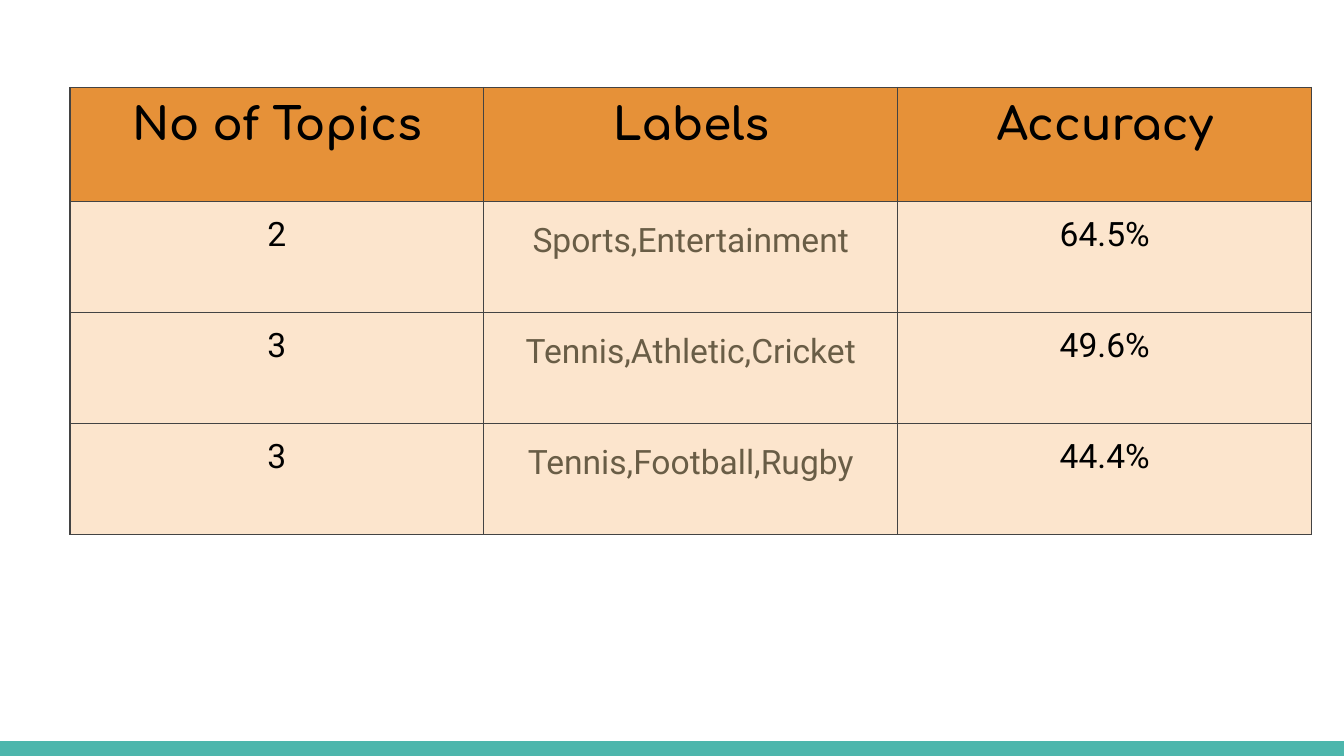
"""Build a slide with a table of topic counts, labels and accuracy."""
from lxml.etree import SubElement
from pptx import Presentation
from pptx.dml.color import RGBColor
from pptx.enum.shapes import MSO_SHAPE
from pptx.enum.text import PP_ALIGN
from pptx.oxml.ns import qn
from pptx.util import Inches, Pt

COLORS = {
    "header": "E69138",
    "body": "FCE5CD",
    "border": "434343",
    "text": "000000",
    "label": "695D46",
    "footer": "4DB6AC",
}
HEADERS = ["No of Topics", "Labels", "Accuracy"]
RESULTS = [
    ("2", "Sports,Entertainment", "64.5%"),
    ("3", "Tennis,Athletic,Cricket", "49.6%"),
    ("3", "Tennis,Football,Rugby", "44.4%"),
]
HEADER_FORMAT = {"font": "Comfortaa", "size": 24, "bold": True}
LABEL_FORMAT = {"color": "label", "line_spacing": 1.15, "space_after": 16}
LABEL_COLUMN = HEADERS.index("Labels")

WIDTH = 10
HEIGHT = WIDTH * 9 / 16
FOOTER_HEIGHT = 0.11
TABLE_LEFT, TABLE_TOP = 0.52, 0.65
COLUMN_WIDTH = 3.08
HEADER_HEIGHT, BODY_HEIGHT = 0.85, 2.48
ROW_HEIGHT = BODY_HEIGHT / len(RESULTS)
MARGIN = 0.1
BORDER_WIDTH = 0.75


def color_of(name):
    return RGBColor.from_string(COLORS[name])


def write(frame, text, font="Roboto", size=18, bold=False, color="text",
          line_spacing=None, space_after=None):
    paragraph = frame.paragraphs[0]
    paragraph.alignment = PP_ALIGN.CENTER
    if line_spacing:
        paragraph.line_spacing = line_spacing
    if space_after:
        paragraph.space_after = Pt(space_after)
    run = paragraph.add_run()
    run.text = text
    run.font.name = font
    run.font.size = Pt(size)
    run.font.bold = bold
    run.font.color.rgb = color_of(color)


def style_cell(cell, fill):
    cell.margin_left = cell.margin_right = Inches(MARGIN)
    cell.margin_top = cell.margin_bottom = Inches(MARGIN)
    properties = cell._tc.get_or_add_tcPr()
    for side in ("lnL", "lnR", "lnT", "lnB"):
        line = SubElement(properties, qn(f"a:{side}"), w=str(Pt(BORDER_WIDTH)))
        solid = SubElement(line, qn("a:solidFill"))
        SubElement(solid, qn("a:srgbClr"), val=COLORS["border"])
    cell.fill.solid()
    cell.fill.fore_color.rgb = color_of(fill)


def add_footer(slide):
    bar = slide.shapes.add_shape(
        MSO_SHAPE.RECTANGLE, 0, Inches(HEIGHT - FOOTER_HEIGHT),
        Inches(WIDTH), Inches(FOOTER_HEIGHT))
    bar.shadow.inherit = False
    bar.fill.solid()
    bar.fill.fore_color.rgb = color_of("footer")
    bar.line.fill.background()


def add_results(slide):
    rows = [HEADERS, *RESULTS]
    heights = [HEADER_HEIGHT] + [ROW_HEIGHT] * len(RESULTS)
    table = slide.shapes.add_table(
        len(rows), len(HEADERS), Inches(TABLE_LEFT), Inches(TABLE_TOP),
        Inches(COLUMN_WIDTH * len(HEADERS)), Inches(sum(heights))).table
    for column in table.columns:
        column.width = Inches(COLUMN_WIDTH)
    for row_index, (texts, height) in enumerate(zip(rows, heights)):
        table.rows[row_index].height = Inches(height)
        for column_index, text in enumerate(texts):
            cell = table.cell(row_index, column_index)
            if row_index == 0:
                text_format = HEADER_FORMAT
            else:
                text_format = LABEL_FORMAT if column_index == LABEL_COLUMN else {}
            style_cell(cell, "body" if row_index else "header")
            write(cell.text_frame, text, **text_format)


def main():
    presentation = Presentation()
    presentation.slide_width = Inches(WIDTH)
    presentation.slide_height = Inches(HEIGHT)
    slide = presentation.slides.add_slide(presentation.slide_layouts[6])
    add_footer(slide)
    add_results(slide)
    presentation.save("out.pptx")


if __name__ == "__main__":
    main()
